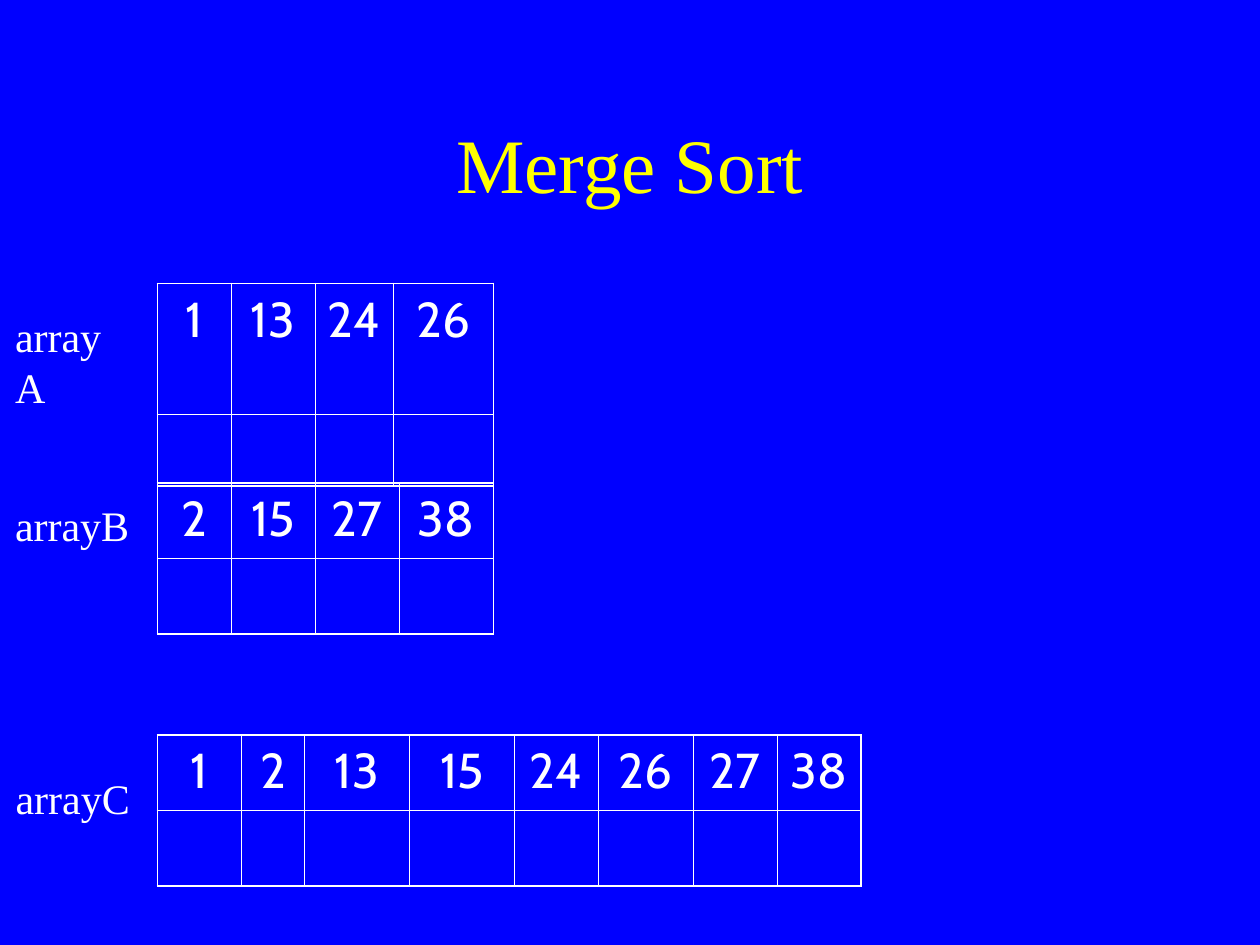
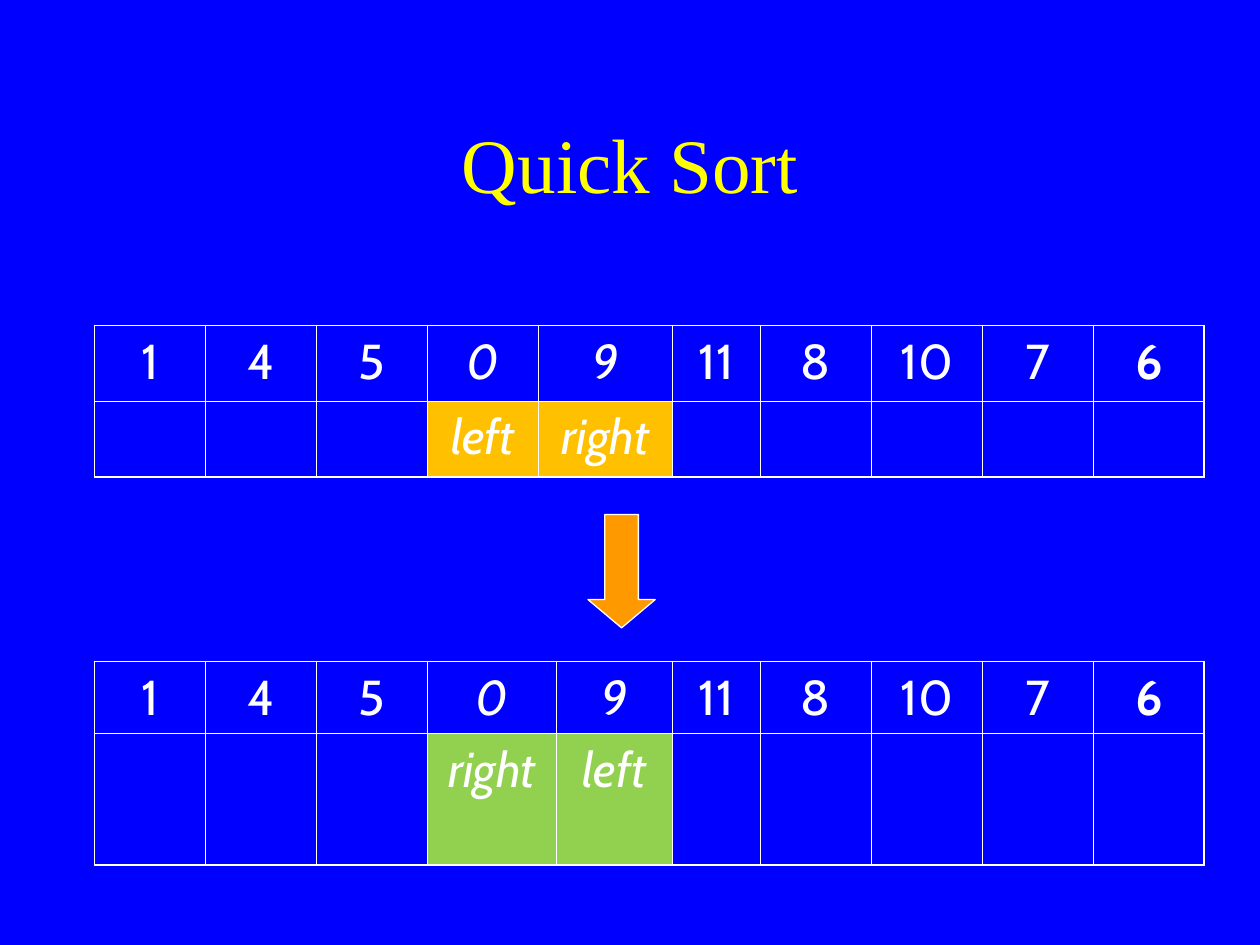
from dataclasses import dataclass, field

from lxml.etree import SubElement
from pptx import Presentation
from pptx.dml.color import RGBColor
from pptx.enum.shapes import MSO_SHAPE
from pptx.enum.text import MSO_ANCHOR, MSO_AUTO_SIZE, PP_ALIGN
from pptx.oxml.ns import qn
from pptx.slide import Slide
from pptx.table import Table
from pptx.text.text import TextFrame
from pptx.util import Inches, Pt

COLORS = {
    "back": "0000FF",
    "title": "FFFF00",
    "text": "FFFFFF",
    "arrow": "FF9900",
    "before": "FFC000",
    "after": "92D050",
}
SERIF, SANS = "Times New Roman", "Cabin"
WIDTH, HEIGHT = Inches(10), Inches(7.5)
COLS, ROWS = 120, 90
ROW, SHORT, TALL = 7.2, 6.8, 12.5
STEP = 10.57
THIN, THICK = 0.45, 1.08


@dataclass
class Grid:
    """An array drawn as a row of values above a row of marks."""
    left: float
    top: float
    cols: list[float]
    values: list[int]
    rows: tuple[float, float] = (ROW, ROW)
    marks: dict[int, str] = field(default_factory=dict)
    tint: str = "before"
    pivot: int | None = None


@dataclass
class Label:
    text: str
    left: float
    top: float


def across(cols: float) -> int:
    return round(WIDTH * cols / COLS)


def down(rows: float) -> int:
    return round(HEIGHT * rows / ROWS)


def place(left: float, top: float, wide: float, high: float) -> tuple[int, ...]:
    return across(left), down(top), across(wide), down(high)


def color(name: str) -> RGBColor:
    return RGBColor.from_string(COLORS[name])


def write(frame: TextFrame, text: str, *, size: float, font: str = SERIF,
          tone: str = "text", align: PP_ALIGN = PP_ALIGN.LEFT,
          bold: bool = False, italic: bool = False) -> None:
    para = frame.paragraphs[0]
    para.alignment = align
    run = para.add_run()
    run.text = text
    run.font.size, run.font.name = Pt(size), font
    run.font.bold, run.font.italic = bold, italic
    run.font.color.rgb = color(tone)


def start(deck: Presentation, title: str) -> Slide:
    slide = deck.slides.add_slide(deck.slide_layouts[5])
    fill = slide.background.fill
    fill.solid()
    fill.fore_color.rgb = color("back")
    head = slide.shapes.title
    head.left, head.top, head.width, head.height = place(9, 8, 102, 15)
    head.text_frame.vertical_anchor = MSO_ANCHOR.MIDDLE
    write(head.text_frame, title, size=44, tone="title", align=PP_ALIGN.CENTER)
    return slide


def rule(table: Table, row: int, col: int) -> None:
    """Give a cell thick lines on the table's edge and thin ones inside."""
    edges = {
        "L": col == 0,
        "R": col == len(table.columns) - 1,
        "T": row == 0,
        "B": row == len(table.rows) - 1,
    }
    props = table.cell(row, col)._tc.get_or_add_tcPr()
    for side, outer in edges.items():
        width = Pt(THICK if outer else THIN)
        line = SubElement(props, qn(f"a:ln{side}"), w=str(int(width)))
        fill = SubElement(line, qn("a:solidFill"))
        SubElement(fill, qn("a:srgbClr"), val=COLORS["text"])


def draw_grid(slide: Slide, grid: Grid) -> None:
    box = place(grid.left, grid.top, sum(grid.cols), sum(grid.rows))
    table = slide.shapes.add_table(2, len(grid.cols), *box).table
    table.first_row = table.horz_banding = False
    for row, high in enumerate(grid.rows):
        table.rows[row].height = down(high)
    for col, wide in enumerate(grid.cols):
        table.columns[col].width = across(wide)
        mark = grid.marks.get(col, "")
        for row, text in enumerate((str(grid.values[col]), mark)):
            cell = table.cell(row, col)
            rule(table, row, col)
            if row and mark:
                cell.fill.solid()
                cell.fill.fore_color.rgb = color(grid.tint)
            else:
                cell.fill.background()
            if text:
                write(cell.text_frame, text, size=28, font=SANS,
                      align=PP_ALIGN.CENTER, italic=bool(mark),
                      bold=col == grid.pivot)


def draw_label(slide: Slide, label: Label) -> None:
    box = slide.shapes.add_textbox(*place(label.left, label.top, 13.3, 6))
    box.text_frame.word_wrap = False
    box.text_frame.auto_size = MSO_AUTO_SIZE.SHAPE_TO_FIT_TEXT
    write(box.text_frame, label.text, size=24)


def draw_arrow(slide: Slide) -> None:
    arrow = slide.shapes.add_shape(MSO_SHAPE.DOWN_ARROW, *place(56, 49, 6.4, 10.8))
    arrow.adjustments[0], arrow.adjustments[1] = 0.5, 0.42
    arrow.shadow.inherit = False
    arrow.fill.solid()
    arrow.fill.fore_color.rgb = color("arrow")
    arrow.line.color.rgb = color("text")
    arrow.line.width = Pt(0.75)


def merge(deck: Presentation) -> None:
    slide = start(deck, "Merge Sort")
    first, second = [1, 13, 24, 26], [2, 15, 27, 38]
    grids = [
        Grid(15, 27, [7, 8, 7.5, 9.5], first, rows=(TALL, SHORT)),
        Grid(15, 70, [8, 6, 10, 10, 8, 9, 8, 8], sorted(first + second)),
        Grid(15, 46, [7, 8, 8, 9], second),
    ]
    for grid in grids:
        draw_grid(slide, grid)
    labels = [
        Label("arrayA", 0.25, 29),
        Label("arrayB", 0.25, 47),
        Label("arrayC", 0.3, 73),
    ]
    for label in labels:
        draw_label(slide, label)


def quick(deck: Presentation) -> None:
    slide = start(deck, "Quick Sort")
    draw_arrow(slide)
    values = [1, 4, 5, 0, 9, 11, 8, 10, 7, 6]
    pivot = len(values) - 1
    lead, tail = [STEP] * 3, [8.4] + [STEP] * 4
    grids = [
        Grid(9, 31, lead + [STEP, 12.75] + tail, values,
             marks={3: "left", 4: "right"}, pivot=pivot),
        Grid(9, 63, lead + [12.27, 11.05] + tail, values, rows=(SHORT, TALL),
             marks={3: "right", 4: "left"}, tint="after", pivot=pivot),
    ]
    for grid in grids:
        draw_grid(slide, grid)


def main() -> None:
    deck = Presentation()
    deck.slide_width, deck.slide_height = WIDTH, HEIGHT
    merge(deck)
    quick(deck)
    deck.save("out.pptx")


if __name__ == "__main__":
    main()
